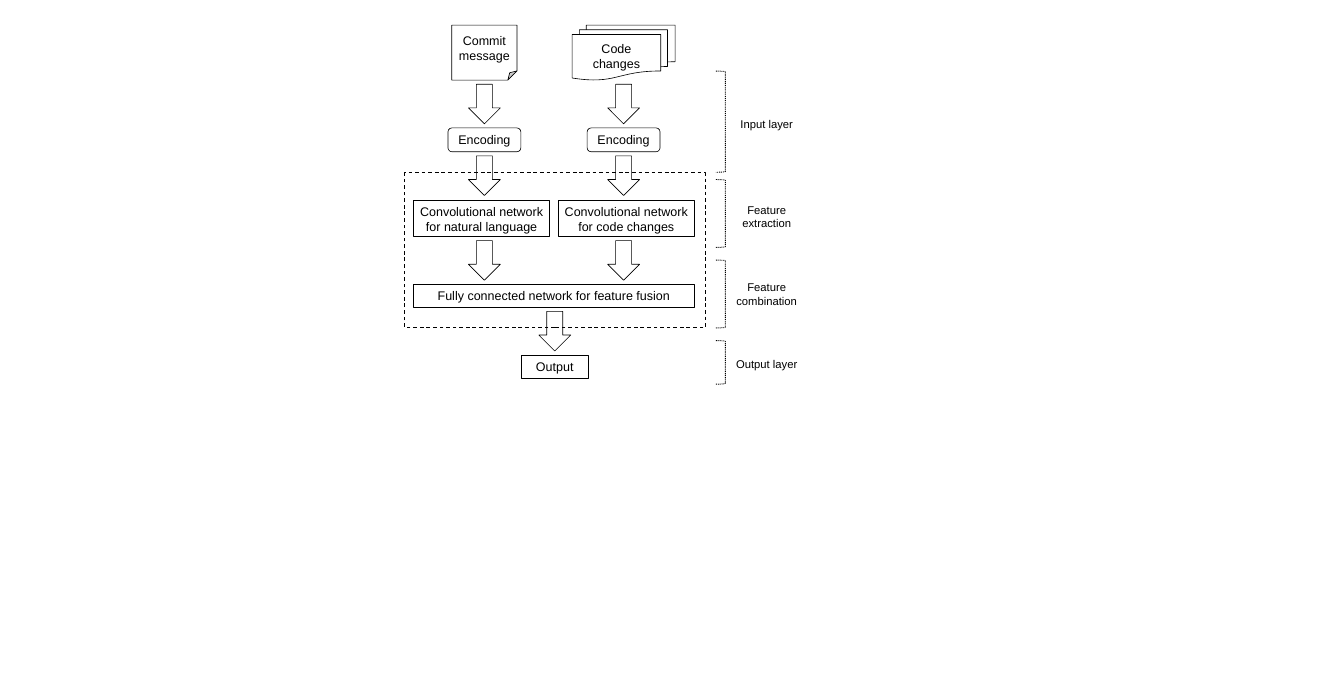
from collections import namedtuple
from pptx import Presentation
from pptx.dml.color import RGBColor
from pptx.enum.dml import MSO_LINE_DASH_STYLE as Dash
from pptx.enum.shapes import MSO_SHAPE as Shape
from pptx.enum.text import MSO_ANCHOR as Anchor, PP_ALIGN as Align
from pptx.util import Inches, Pt

BLACK = RGBColor(0, 0, 0)
WHITE = RGBColor(255, 255, 255)
CELL = Inches(0.1)
COLUMNS, ROWS = 298.7, 149.6
GAP = 0.92
ARROW_WIDTH, ARROW_HEIGHT = 7.1, 8.8

Box = namedtuple("Box", "left top width height")


def cells(box):
    return [round(length * CELL) for length in box]


def write(shape, text, size=20, align=Align.CENTER, anchor=Anchor.MIDDLE):
    frame = shape.text_frame
    frame.word_wrap = True
    frame.vertical_anchor = anchor
    para = frame.paragraphs[0]
    para.alignment = align
    span = para.add_run()
    span.text = text
    span.font.name = "Arial"
    span.font.size = Pt(size)
    span.font.color.rgb = BLACK


def draw(page, kind, box, text=None, fill=WHITE, weight=1, dash=None):
    shape = page.shapes.add_shape(kind, *cells(box))
    shape.shadow.inherit = False
    if fill is None:
        shape.fill.background()
    else:
        shape.fill.solid()
        shape.fill.fore_color.rgb = fill
    shape.line.color.rgb = BLACK
    shape.line.width = Pt(weight)
    if dash is not None:
        shape.line.dash_style = dash
    if text:
        write(shape, text)


def draw_stack(page, axis, top, parts):
    for kind, width, height, text in parts:
        draw(page, kind, Box(axis - width / 2, top, width, height), text)
        top += height + GAP


ARROW = (Shape.DOWN_ARROW, ARROW_WIDTH, ARROW_HEIGHT, None)


def draw_branch(page, box, axis_share, source, network):
    axis = box.left + axis_share * box.width
    encoding = (Shape.ROUNDED_RECTANGLE, 16.2, 5.3, "Encoding")
    draw_stack(page, axis, box.top, [source, ARROW, encoding, ARROW])
    network_height = 8
    arrow_top = box.top + box.height - ARROW_HEIGHT
    network_top = arrow_top - GAP - network_height
    draw(page, Shape.RECTANGLE,
         Box(box.left, network_top, box.width, network_height), network)
    draw_stack(page, axis, arrow_top, [ARROW])


def draw_fusion(page, box):
    bar_height = 5.1
    draw(page, Shape.RECTANGLE, box._replace(height=bar_height),
         "Fully connected network for feature fusion")
    output = (Shape.RECTANGLE, 14.7, bar_height, "Output")
    draw_stack(page, box.left + box.width / 2 + 0.2,
               box.top + bar_height + GAP, [ARROW, output])


def draw_layer(page, box, name, drop):
    draw(page, Shape.RIGHT_BRACKET, box._replace(width=2.1),
         weight=1.5, dash=Dash.ROUND_DOT)
    label_width, label_height = 17, 7.1
    label_top = box.top + (box.height - label_height) / 2 + drop
    label = page.shapes.add_textbox(*cells(
        Box(box.left + box.width - label_width, label_top,
            label_width, label_height)))
    write(label, name, size=18)


deck = Presentation()
deck.slide_width, deck.slide_height = round(COLUMNS * CELL), round(ROWS * CELL)
page = deck.slides.add_slide(deck.slide_layouts[6])

BRANCHES = [
    (Box(91.9, 5.6, 30.3, 56.7), 0.52,
     (Shape.FOLDED_CORNER, 14.5, 12.2, "Commit message"),
     "Convolutional network for natural language"),
    (Box(124.1, 5.6, 30.2, 56.7), 0.48,
     (Shape.FLOWCHART_MULTIDOCUMENT, 22.9, 12.2, "Code changes"),
     "Convolutional network for code changes"),
]
for branch in BRANCHES:
    draw_branch(page, *branch)

draw_fusion(page, Box(91.9, 63.2, 62.4, 20.7))
draw(page, Shape.RECTANGLE, Box(90, 38.4, 66.7, 34.5),
     fill=None, weight=1.5, dash=Dash.DASH)

LAYERS = [
    ("Input layer", 15.8, 22.5, 0.6),
    ("Feature extraction", 39.9, 15.1, 0.7),
    ("Feature combination", 57.8, 15.1, 0),
    ("Output layer", 75.7, 9.7, 0.3),
]
for name, top, height, drop in LAYERS:
    draw_layer(page, Box(159.1, top, 19.8, height), name, drop)

deck.save("out.pptx")
